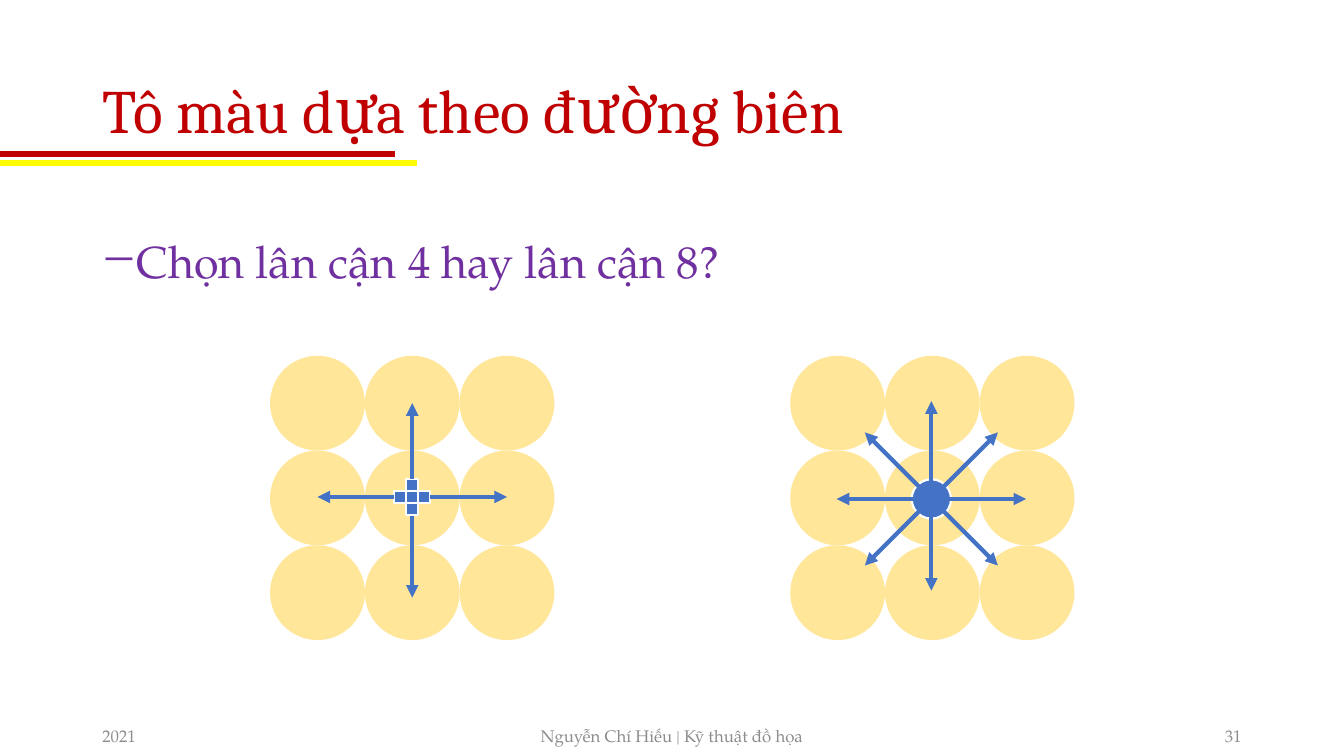
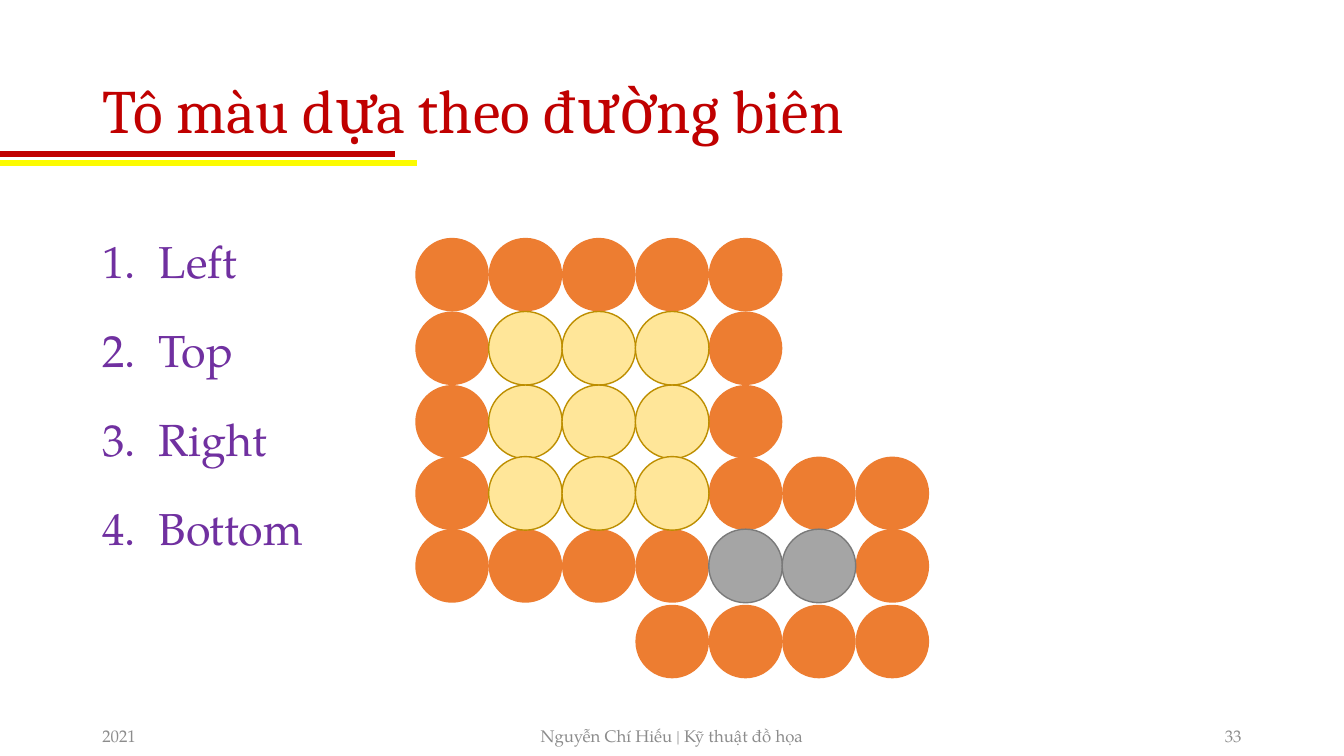
from pptx import Presentation
from pptx.dml.color import RGBColor
from pptx.enum.shapes import MSO_CONNECTOR, MSO_SHAPE
from pptx.enum.text import MSO_ANCHOR, PP_ALIGN
from pptx.oxml.ns import qn
from pptx.util import Emu, Inches, Pt
from lxml import etree

LEFT, MID, RIGHT = PP_ALIGN.LEFT, PP_ALIGN.CENTER, PP_ALIGN.RIGHT
TOP, CENTER = MSO_ANCHOR.TOP, MSO_ANCHOR.MIDDLE
OVAL, RECT = MSO_SHAPE.OVAL, MSO_SHAPE.RECTANGLE
LINE = MSO_CONNECTOR.STRAIGHT

HUES = {
    "red": "C00000", "yellow": "FCFB01", "purple": "7030A0",
    "muted": "8C8C8C", "cream": "FFE699", "gold": "BD8E00",
    "orange": "ED7D31", "gray": "A5A5A5", "slate": "7A7A7A",
    "blue": "4472C4", "white": "FFFFFF",
}
SERIF, BODY = "Cambria", "TeX Gyre Pagella"

deck = Presentation()
deck.slide_width, deck.slide_height = Emu(12192000), Emu(6858000)
COL, ROW = deck.slide_width // 160, deck.slide_height // 150


def hue(name):
    return RGBColor.from_string(HUES[name])


def write(slide, text, box, size=12, font=BODY, color="muted", align=LEFT,
          anchor=CENTER, space=1.0, before=0, after=0, indent=0, bullet=None):
    x, y, w, h = box
    frame = slide.shapes.add_textbox(x * COL, y * ROW, w * COL, h * ROW).text_frame
    frame.word_wrap = True
    frame.vertical_anchor = anchor
    frame.text = text
    for para in frame.paragraphs:
        para.alignment = align
        para.line_spacing = space
        para.space_before, para.space_after = Pt(before), Pt(after)
        run = para.runs[0].font
        run.name, run.size = font, Pt(size)
        run.color.rgb = hue(color)
        if bullet:
            tag, key, value = bullet
            props = para._p.get_or_add_pPr()
            props.set("marL", str(Inches(indent)))
            props.set("indent", str(-Inches(indent)))
            tint = etree.SubElement(props, qn("a:buClr"))
            etree.SubElement(tint, qn("a:srgbClr")).set("val", HUES[color])
            etree.SubElement(props, qn("a:buFont")).set("typeface", font)
            etree.SubElement(props, qn(tag)).set(key, value)


cells, arrows = [], []
size, dot, tile = 0.94, 0.39, 0.12
for x, y in ((2.68, 3.53), (7.84, 3.53)):
    for row in range(3):
        for col in range(3):
            cells.append((OVAL, x + col * size, y + row * size, size, "cream", None, 0))

cx, cy = 4.09, 4.93
for dx, dy in ((-1, 0), (0, 0), (1, 0), (0, -1), (0, 1)):
    cells.append((RECT, cx + (dx - 0.5) * tile, cy + (dy - 0.5) * tile,
                  tile, "blue", "white", 1.5))
for dx, dy in ((0.94, 0), (-0.94, 0), (0, -0.93), (0, 1)):
    arrows.append((cx + dx * 0.19, cy + dy * 0.19, cx + dx, cy + dy, "blue", 3, True))

cx, cy = 9.24, 4.95
cells.append((OVAL, cx - dot / 2, cy - dot / 2, dot, "blue", "white", 1.5))
for dx, dy in ((0.94, 0), (-0.94, 0), (0, -0.97), (0, 0.91),
               (0.66, -0.66), (0.66, 0.66), (-0.66, 0.66), (-0.66, -0.66)):
    arrows.append((cx, cy, cx + dx, cy + dy, "blue", 3, True))

board = []
size, step = 0.73, 0.728
plan = ("ooooo", "occco", "occco", "occcooo", "ooooggo", "   oooo")
tops = (2.36, 3.09, 3.82, 4.53, 5.25, 6.0)
kinds = {"o": ("orange", None, 0), "c": ("cream", "gold", 1), "g": ("gray", "slate", 1)}
for mark, style in kinds.items():
    for y, row in zip(tops, plan):
        for col, sign in enumerate(row):
            if sign == mark:
                board.append((OVAL, 4.12 + col * step, y, size, *style))

bands = [(0, 1.62, 4.14, 1.62, "yellow", 4.25, False),
         (0, 1.53, 3.92, 1.53, "red", 4.25, False)]
dash = {"indent": 0.25, "bullet": ("a:buChar", "char", "−")}
count = {"indent": 0.56, "bullet": ("a:buAutoNum", "type", "arabicPeriod")}
pages = (
    ("31", "Chọn lân cận 4 hay lân cận 8?", dash, cells, arrows),
    ("33", "Left\nTop\nRight\nBottom", count, board, []),
)

for number, body, style, marks, lines in pages:
    slide = deck.slides.add_slide(deck.slide_layouts[6])
    for kind, x, y, side, fill, edge, width in marks:
        shape = slide.shapes.add_shape(kind, Inches(x), Inches(y), Inches(side), Inches(side))
        shape.shadow.inherit = False
        shape.fill.solid()
        shape.fill.fore_color.rgb = hue(fill)
        if edge:
            shape.line.color.rgb = hue(edge)
            shape.line.width = Pt(width)
        else:
            shape.line.fill.background()
    for x, y, right, low, color, width, tip in bands + lines:
        line = slide.shapes.add_connector(LINE, Inches(x), Inches(y), Inches(right), Inches(low))
        line.line.color.rgb = hue(color)
        line.line.width = Pt(width)
        props = line._element.spPr
        if tip:
            etree.SubElement(props.find(qn("a:ln")), qn("a:tailEnd")).set("type", "triangle")
        etree.SubElement(props, qn("a:effectLst"))
    write(slide, "Tô màu dựa theo đường biên", (11, 8, 138, 29),
          size=44, font=SERIF, color="red", space=0.9)
    write(slide, body, (11, 40, 138, 102), size=32, color="purple",
          anchor=TOP, space=1.5, before=4, after=2, **style)
    write(slide, "2021", (11, 142, 36, 8))
    write(slide, "Nguyễn Chí Hiếu | Kỹ thuật đồ họa", (53, 142, 54, 8), align=MID)
    write(slide, number, (113, 142, 36, 8), align=RIGHT)

deck.save("out.pptx")
